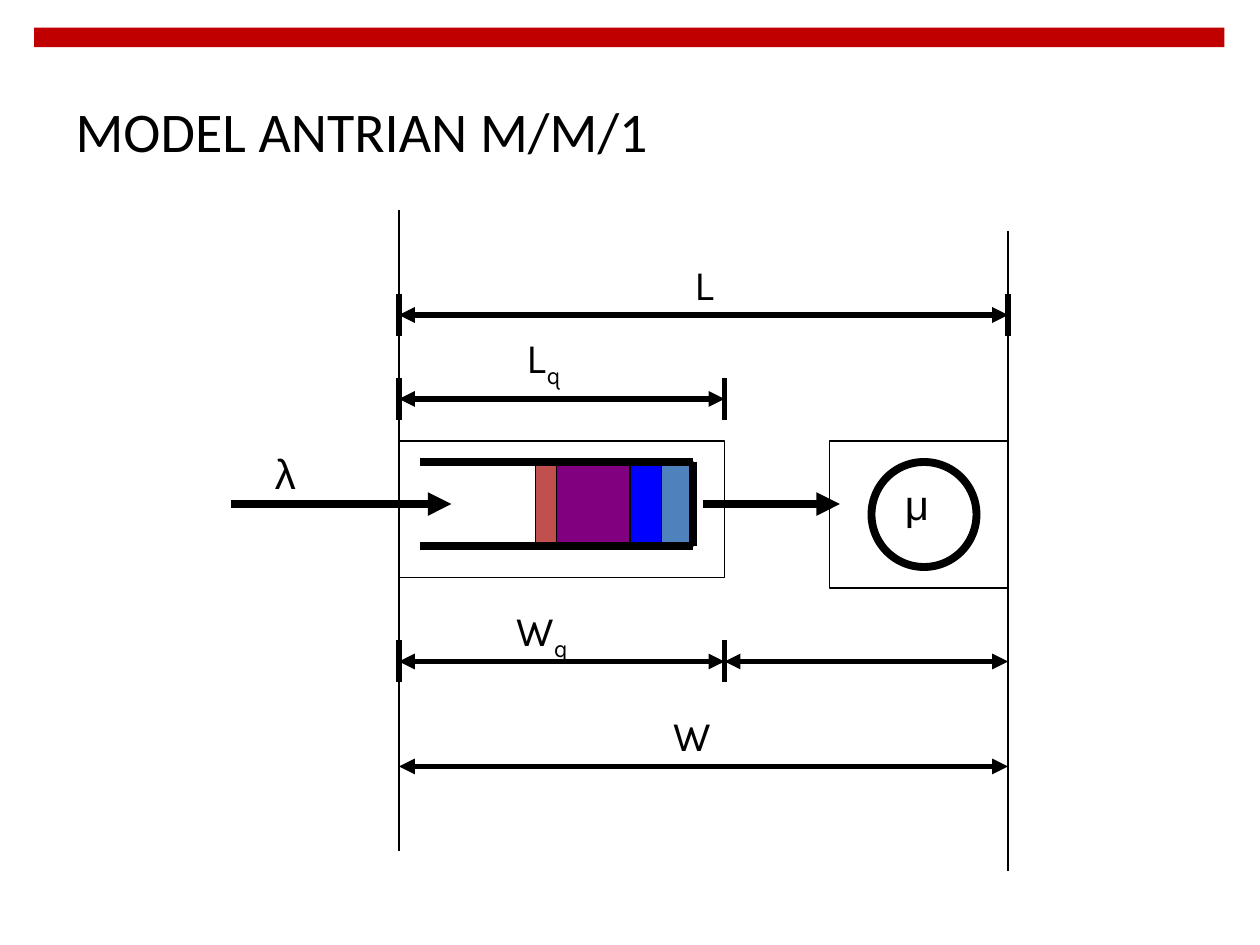
"""Builds the M/M/1 queueing model slide."""
from dataclasses import dataclass
from typing import NamedTuple, Optional

from lxml.etree import SubElement
from pptx import Presentation
from pptx.dml.color import RGBColor
from pptx.enum.shapes import MSO_CONNECTOR as Connector, MSO_SHAPE as Shape
from pptx.enum.text import MSO_ANCHOR as Anchor, MSO_AUTO_SIZE as AutoSize, PP_ALIGN as Align
from pptx.oxml.ns import qn
from pptx.slide import Slide
from pptx.util import Emu, Pt

PIXEL = 9525


@dataclass(frozen=True)
class Theme:
    ink: str = "000000"
    bar: str = "C00000"
    customers: tuple = ("C0504D", "800080", "0000FF", "4F81BD")
    title_font: str = "Calibri"
    symbol_font: str = "Arial"
    label_font: str = "Karla"
    title_size: int = 32
    label_size: int = 24
    thin: float = 0.75
    medium: float = 3
    thick: float = 4.5


class Box(NamedTuple):
    left: int
    top: int
    width: int
    height: int


class Line(NamedTuple):
    x1: int
    y1: int
    x2: int
    y2: int
    weight: float
    heads: tuple = ()


class Label(NamedTuple):
    box: Box
    text: str
    font: str
    subscript: str = ""
    wrap: bool = False


class Span(NamedTuple):
    start: int
    end: int
    y: int
    ticks: tuple = ()


THEME = Theme()
SYSTEM_START, QUEUE_END, SYSTEM_END = 304, 552, 768
TICK_REACH = 16
QUEUE_START, QUEUE_TOP, QUEUE_FRONT, QUEUE_BOTTOM = 320, 352, 528, 416
FLOW_Y = 384
CUSTOMER_EDGES = (408, 424, 480, 504, 528)

GUIDES = (
    Line(SYSTEM_START, 160, SYSTEM_START, 648, THEME.thin),
    Line(SYSTEM_END, 176, SYSTEM_END, 664, THEME.thin),
)
QUEUE_WALLS = (
    Line(QUEUE_START, QUEUE_TOP, QUEUE_FRONT, QUEUE_TOP, THEME.thick),
    Line(QUEUE_FRONT, QUEUE_TOP, QUEUE_FRONT, QUEUE_BOTTOM, THEME.thick),
    Line(QUEUE_START, QUEUE_BOTTOM, QUEUE_FRONT, QUEUE_BOTTOM, THEME.thick),
)
FLOWS = (
    Line(176, FLOW_Y, 344, FLOW_Y, THEME.thick, ("tailEnd",)),
    Line(536, FLOW_Y, 640, FLOW_Y, THEME.thick, ("tailEnd",)),
)
SPANS = (
    Span(SYSTEM_START, SYSTEM_END, 240, (SYSTEM_START, SYSTEM_END)),
    Span(SYSTEM_START, QUEUE_END, 304, (SYSTEM_START, QUEUE_END)),
    Span(SYSTEM_START, QUEUE_END, 504, (SYSTEM_START, QUEUE_END)),
    Span(QUEUE_END, SYSTEM_END, 504),
    Span(SYSTEM_START, SYSTEM_END, 584),
)
LABELS = (
    Label(Box(200, 336, 48, 48), "λ", THEME.symbol_font, wrap=True),
    Label(Box(680, 360, 48, 48), "μ", THEME.symbol_font, wrap=True),
    Label(Box(384, 456, 60, 48), "W", THEME.label_font, "q"),
    Label(Box(504, 536, 48, 48), "W", THEME.label_font),
    Label(Box(520, 192, 36, 48), "L", THEME.label_font),
    Label(Box(392, 248, 47, 48), "L", THEME.label_font, "q"),
)


def px(length: int) -> Emu:
    return Emu(length * PIXEL)


def color(value: str) -> RGBColor:
    return RGBColor.from_string(value)


def draw_shape(page: Slide, kind: Shape, box: Box, fill: Optional[str] = None,
               weight: float = 0) -> None:
    shape = page.shapes.add_shape(kind, *map(px, box))
    shape.shadow.inherit = False
    if fill:
        shape.fill.solid()
        shape.fill.fore_color.rgb = color(fill)
    else:
        shape.fill.background()
    if weight:
        shape.line.color.rgb = color(THEME.ink)
        shape.line.width = Pt(weight)
    else:
        shape.line.fill.background()


def draw_line(page: Slide, line: Line) -> None:
    connector = page.shapes.add_connector(Connector.STRAIGHT, *map(px, line[:4]))
    connector.line.color.rgb = color(THEME.ink)
    connector.line.width = Pt(line.weight)
    properties = connector.element.spPr
    outline = properties.find(qn("a:ln"))
    for head in line.heads:
        SubElement(outline, qn(f"a:{head}"), type="triangle")
    SubElement(properties, qn("a:effectLst"))


def draw_span(page: Slide, span: Span) -> None:
    draw_line(page, Line(span.start, span.y, span.end, span.y, THEME.medium,
                         ("headEnd", "tailEnd")))
    for x in span.ticks:
        draw_line(page, Line(x, span.y - TICK_REACH, x, span.y + TICK_REACH, THEME.medium))


def draw_label(page: Slide, label: Label) -> None:
    frame = page.shapes.add_textbox(*map(px, label.box)).text_frame
    frame.word_wrap = label.wrap
    frame.auto_size = AutoSize.SHAPE_TO_FIT_TEXT
    frame.text = label.text
    para = frame.paragraphs[0]
    if label.subscript:
        span = para.add_run()
        span.text = label.subscript
        span.font._element.set("baseline", "-25000")
    for span in para.runs:
        span.font.name = label.font
        span.font.size = Pt(THEME.label_size)
        span.font.color.rgb = color(THEME.ink)


def set_title(page: Slide, text: str, box: Box) -> None:
    title = page.shapes.title
    title.left, title.top, title.width, title.height = map(px, box)
    frame = title.text_frame
    frame.text = text
    frame.vertical_anchor = Anchor.MIDDLE
    para = frame.paragraphs[0]
    para.alignment = Align.LEFT
    font = para.runs[0].font
    font.name = THEME.title_font
    font.size = Pt(THEME.title_size)
    font.color.rgb = color(THEME.ink)


def main() -> None:
    deck = Presentation()
    deck.slide_width, deck.slide_height = px(960), px(720)
    page = deck.slides.add_slide(deck.slide_layouts[5])
    draw_shape(page, Shape.RECTANGLE, Box(26, 21, 907, 15), THEME.bar)
    set_title(page, "MODEL ANTRIAN M/M/1", Box(48, 50, 639, 99))
    for start, end, fill in zip(CUSTOMER_EDGES, CUSTOMER_EDGES[1:], THEME.customers):
        draw_shape(page, Shape.RECTANGLE,
                   Box(start, QUEUE_TOP, end - start, QUEUE_BOTTOM - QUEUE_TOP),
                   fill, THEME.thin)
    for line in GUIDES + QUEUE_WALLS:
        draw_line(page, line)
    draw_shape(page, Shape.OVAL, Box(664, 352, 80, 80), weight=THEME.thick)
    for box in (Box(SYSTEM_START, 336, QUEUE_END - SYSTEM_START, 104),
                Box(632, 336, SYSTEM_END - 632, 112)):
        draw_shape(page, Shape.RECTANGLE, box, weight=THEME.thin)
    for line in FLOWS:
        draw_line(page, line)
    for span in SPANS:
        draw_span(page, span)
    for label in LABELS:
        draw_label(page, label)
    deck.save("out.pptx")


if __name__ == "__main__":
    main()
